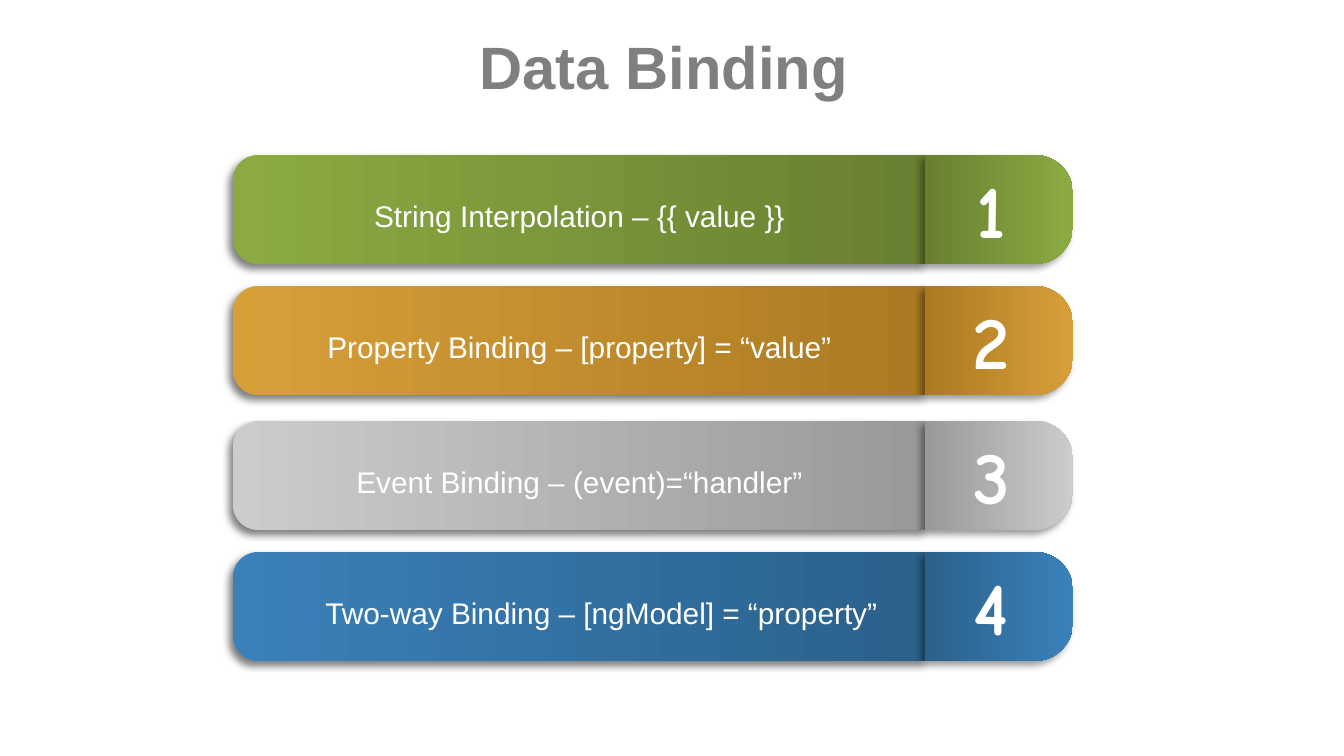
import pptx
import pptx.util
import pptx.dml.color
import pptx.enum.shapes
import pptx.enum.text
import pptx.oxml
import pptx.oxml.ns

# Content: label, label width, light and dark colour names, top
TITLE = "Data Binding"
ROWS = [
    ("String Interpolation – {{ value }}", 555, "green", 155),
    ("Property Binding – [property] = “value”", 555, "gold", 286),
    ("Event Binding – (event)=“handler”", 555, "silver", 421),
    ("Two-way Binding – [ngModel] = “property”", 599, "blue", 552),
]
HUES = {
    "green": "8BAB42", "green dark": "688031",
    "gold": "D89F39", "gold dark": "AB7A22",
    "silver": "CCCCCC", "silver dark": "999999",
    "blue": "3A81BA", "blue dark": "2B618B",
    "title": "7F7F7F", "text": "FFFFFF", "shadow": "000000",
}
FONTS = {
    "title": {"name": "Arial", "size": pptx.util.Pt(32), "bold": True},
    "digit": {"name": "Comic Neue", "size": pptx.util.Pt(40), "bold": True},
    "label": {"name": "Arial", "size": pptx.util.Pt(16)},
}

# Layout in px
LEFT, BODY, CAP, HIGH = 233, 692, 148, 109
SCALE = 914400 / 134.4

deck = pptx.Presentation()
deck.slide_width, deck.slide_height = (round(n * SCALE) for n in (1344, 756))
slide = deck.slides.add_slide(deck.slide_layouts[6])


def place(*sides):
    return [round(n * SCALE) for n in sides]


def color(name):
    return pptx.dml.color.RGBColor.from_string(HUES[name])


def add_text(text, box, font, hue, wrap=False, middle=True):
    frame = slide.shapes.add_textbox(*place(*box)).text_frame
    anchor = pptx.enum.text.MSO_ANCHOR
    form = {
        "word_wrap": wrap,
        "auto_size": pptx.enum.text.MSO_AUTO_SIZE.SHAPE_TO_FIT_TEXT,
        "vertical_anchor": anchor.MIDDLE if middle else anchor.TOP,
    }
    for key, value in form.items():
        setattr(frame, key, value)
    para = frame.paragraphs[0]
    para.alignment = pptx.enum.text.PP_ALIGN.CENTER
    run = para.add_run()
    run.text = text
    for key, value in FONTS[font].items():
        setattr(run.font, key, value)
    run.font.color.rgb = color(hue)


def add_shadow(shape, alpha):
    space = pptx.oxml.ns.nsdecls("a")
    shape._element.spPr.append(pptx.oxml.parse_xml(
        f'<a:effectLst {space}><a:outerShdw blurRad="50800" dist="38100" '
        f'dir="8100000" algn="tr" rotWithShape="0">'
        f'<a:srgbClr val="{HUES["shadow"]}"><a:alpha val="{alpha * 1000}"/>'
        f'</a:srgbClr></a:outerShdw></a:effectLst>'))


def add_bar(left, top, width, turn, curve, hues, end, angle, alpha):
    # The shape stands upright, then turns about its centre
    shift = (width - HIGH) / 2
    shape = slide.shapes.add_shape(
        pptx.enum.shapes.MSO_SHAPE.ROUND_2_SAME_RECTANGLE,
        *place(left + shift, top - shift, HIGH, width))
    shape.rotation = turn
    shape.adjustments[0], shape.adjustments[1] = curve, 0
    shape.line.fill.background()
    shape.fill.gradient()
    shape.fill.gradient_angle = angle
    for stop, hue, spot in zip(shape.fill.gradient_stops, hues, (0, end)):
        stop.color.rgb = color(hue)
        stop.position = spot
    add_shadow(shape, alpha)


# Title
add_text(TITLE, (465, 23, 398, 86), "title", "title")

# Bars with their numbered caps
for label, width, hue, top in ROWS:
    pair = [hue, hue + " dark"]
    add_bar(LEFT, top, BODY, 270, 0.23, pair, 0.99, 270, 50)
    add_bar(LEFT + BODY, top, CAP, 90, 0.35, pair[::-1], 1, 90, 40)

# Numbers and labels
for index, (label, width, hue, top) in enumerate(ROWS, 1):
    add_text(str(index), (955, top + 2, 73, 103), "digit", "text")
    add_text(label, (302, top + 36, width, 50), "label", "text", True, False)

deck.save("out.pptx")
